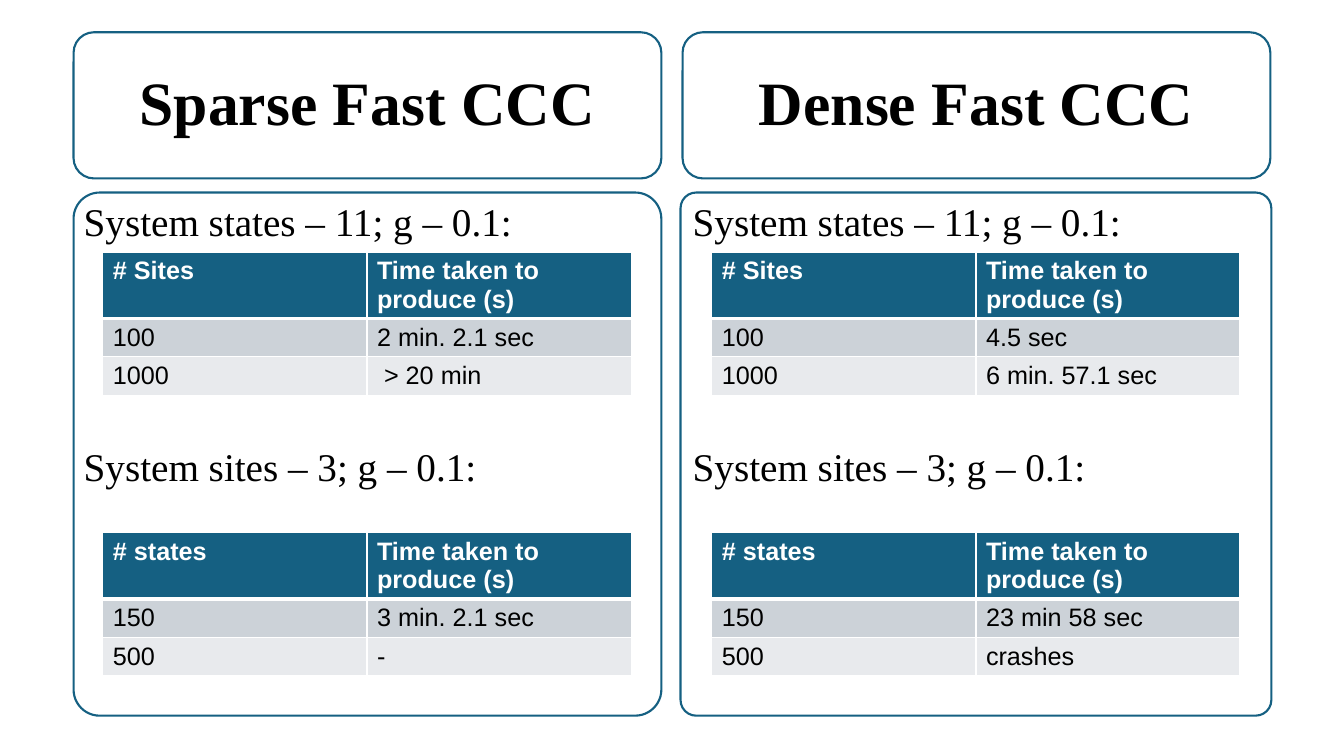
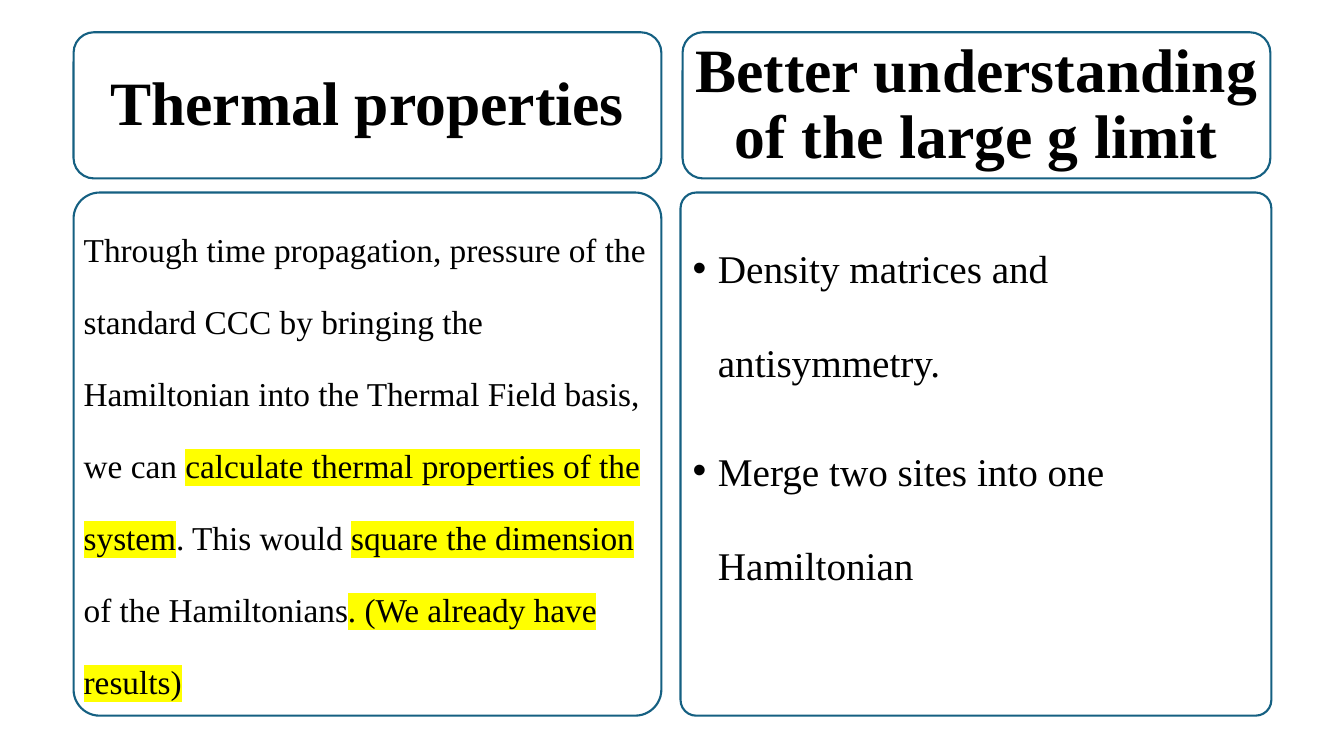
from dataclasses import dataclass

from lxml import etree
from pptx import Presentation
from pptx import util as u
from pptx.dml.color import RGBColor
from pptx.enum import shapes, text
from pptx.oxml.ns import qn

BLUE, BLACK, WHITE, YELLOW = "156082", "000000", "FFFFFF", "FFFF00"
BANDS = ("CCD2D8", "E8EAED")
SERIF, SANS = "Times New Roman", "Arial"
HEAD_TOP, HEAD_H = 0.32, 1.45
BODY_TOP, BODY_H = 1.91, 5.19
COLUMN_W = 5.83
COLUMN_LEFTS = (0.73, 6.77)
TABLE_LEFTS = (1.02, 7.06)
TABLE_TOPS = (2.5, 5.28)
TABLE_COL_W = 2.62
ROW_HEIGHTS = (0.66, 0.38, 0.38)


@dataclass
class Box:
    left: float
    top: float
    width: float
    height: float

    def lengths(self) -> list:
        return [u.Inches(v) for v in (self.left, self.top, self.width, self.height)]


@dataclass
class Run:
    text: str
    highlight: str = ""


@dataclass
class Para:
    runs: list[Run]
    size: float = 28
    line: float = 1.0
    before: float = 0
    bullet: bool = False


@dataclass
class Table:
    key: str
    rows: list[tuple[str, str]]


@dataclass
class Column:
    heading: str
    paras: list[Para]
    tables: list[Table]


@dataclass
class Frame:
    box: Box
    radius: float


FRAMES = [
    Frame(Box(0.73, HEAD_TOP, COLUMN_W, HEAD_H), 0.14),
    Frame(Box(0.73, BODY_TOP, COLUMN_W, BODY_H), 0.05),
    Frame(Box(6.75, BODY_TOP, 5.86, BODY_H), 0.03),
    Frame(Box(6.77, HEAD_TOP, COLUMN_W, HEAD_H), 0.14),
]


def rgb(color: str) -> RGBColor:
    return RGBColor.from_string(color)


def solid_fill(parent, tag: str, color: str):
    el = etree.SubElement(parent, qn(tag))
    etree.SubElement(el, qn("a:srgbClr"), val=color)
    return el


def add_run(p, words: str, *, size: float, font: str = SERIF, color: str = BLACK,
            bold: bool = False, highlight: str = "") -> None:
    r = p.add_run()
    r.text = words
    f = r.font
    f.size, f.name, f.bold = u.Pt(size), font, bold
    f.color.rgb = rgb(color)
    if highlight:
        rpr = r._r.get_or_add_rPr()
        mark = solid_fill(rpr, "a:highlight", highlight)
        rpr.find(qn("a:solidFill")).addnext(mark)


def place(sp, box: Box) -> None:
    sp.left, sp.top, sp.width, sp.height = box.lengths()


def prepare_frame(sp, anchor):
    tf = sp.text_frame
    tf.word_wrap = True
    tf.auto_size = text.MSO_AUTO_SIZE.NONE
    tf.vertical_anchor = anchor
    return tf


def write_heading(sp, words: str) -> None:
    p = prepare_frame(sp, text.MSO_ANCHOR.MIDDLE).paragraphs[0]
    p.alignment = text.PP_ALIGN.CENTER
    p.line_spacing = 0.9
    add_run(p, words, size=44, bold=True)


def set_bullet(p, shown: bool) -> None:
    ppr = p._p.get_or_add_pPr()
    indent = u.Inches(0.25) if shown else 0
    ppr.set("marL", str(indent))
    ppr.set("indent", str(-indent))
    if shown:
        etree.SubElement(ppr, qn("a:buFont"), typeface=SANS)
        etree.SubElement(ppr, qn("a:buChar"), char="•")
    else:
        etree.SubElement(ppr, qn("a:buNone"))


def write_body(sp, paras: list[Para]) -> None:
    tf = prepare_frame(sp, text.MSO_ANCHOR.TOP)
    for i, para in enumerate(paras):
        p = tf.add_paragraph() if i else tf.paragraphs[0]
        set_bullet(p, para.bullet)
        p.alignment = text.PP_ALIGN.LEFT
        p.line_spacing = para.line
        p.space_before, p.space_after = u.Pt(para.before), u.Pt(0)
        for run in para.runs:
            add_run(p, run.text, size=para.size, highlight=run.highlight)


def set_borders(cell, row: int) -> None:
    """White 1 pt rules, with a 3 pt rule under the header row."""
    widths = {"a:lnL": 1, "a:lnR": 1, "a:lnT": 3 if row == 1 else 1,
              "a:lnB": 3 if row == 0 else 1}
    tcpr = cell._tc.get_or_add_tcPr()
    for i, (tag, width) in enumerate(widths.items()):
        ln = etree.Element(qn(tag), w=str(u.Pt(width)))
        solid_fill(ln, "a:solidFill", WHITE)
        tcpr.insert(i, ln)


def add_timing_table(s, table: Table, left: float, top: float) -> None:
    rows = [(table.key, "Time taken to produce (s)"), *table.rows]
    box = Box(left, top, 2 * TABLE_COL_W, sum(ROW_HEIGHTS))
    tbl = s.shapes.add_table(len(rows), 2, *box.lengths()).table
    for col in tbl.columns:
        col.width = u.Inches(TABLE_COL_W)
    for i, values in enumerate(rows):
        tbl.rows[i].height = u.Inches(ROW_HEIGHTS[i])
        header = i == 0
        for j, value in enumerate(values):
            cell = tbl.cell(i, j)
            cell.fill.solid()
            cell.fill.fore_color.rgb = rgb(BLUE if header else BANDS[i - 1])
            set_borders(cell, i)
            add_run(cell.text_frame.paragraphs[0], value, size=18, font=SANS,
                    color=WHITE if header else BLACK, bold=header)


def add_frame(s, frame: Frame) -> None:
    sp = s.shapes.add_shape(shapes.MSO_SHAPE.ROUNDED_RECTANGLE, *frame.box.lengths())
    sp.adjustments[0] = frame.radius
    sp.shadow.inherit = False
    sp.fill.background()
    sp.line.color.rgb = rgb(BLUE)
    sp.line.width = u.Pt(1.5)


def add_comparison_slide(prs, columns: list[Column]) -> None:
    s = prs.slides.add_slide(prs.slide_layouts.get_by_name("Two Content"))
    for frame in FRAMES:
        add_frame(s, frame)
    for i, (column, left) in enumerate(zip(columns, COLUMN_LEFTS)):
        head_box = Box(left, HEAD_TOP, COLUMN_W, HEAD_H)
        if i == 0:
            heading = s.shapes.title
            place(heading, head_box)
        else:
            heading = s.shapes.add_textbox(*head_box.lengths())
        write_heading(heading, column.heading)
        body = s.placeholders[i + 1]
        place(body, Box(left, BODY_TOP, COLUMN_W, BODY_H))
        write_body(body, column.paras)
        for table, top in zip(column.tables, TABLE_TOPS):
            add_timing_table(s, table, TABLE_LEFTS[i], top)


def timing_column(heading: str, by_sites: tuple[str, str],
                  by_states: tuple[str, str]) -> Column:
    paras = [Para([Run("System states – 11; g – 0.1:")]),
             Para([Run("System sites – 3; g – 0.1:")], before=141)]
    tables = [Table("# Sites", list(zip(("100", "1000"), by_sites))),
              Table("# states", list(zip(("150", "500"), by_states)))]
    return Column(heading, paras, tables)


SLIDES = [
    [
        timing_column("Sparse Fast CCC", ("2 min. 2.1 sec", " > 20 min"),
                      ("3 min. 2.1 sec", "-")),
        timing_column("Dense Fast CCC", ("4.5 sec", "6 min. 57.1 sec"),
                      ("23 min 58 sec", "crashes")),
    ],
    [
        Column("Thermal properties", [Para([
            Run("Through time propagation, pressure of the standard CCC by bringing "
                "the Hamiltonian into the Thermal Field basis, we can "),
            Run("calculate thermal properties of the system", YELLOW),
            Run(". This would "),
            Run("square the dimension ", YELLOW),
            Run("of the Hamiltonians"),
            Run(". (We already have results)", YELLOW),
        ], size=23.8, line=1.8)], []),
        Column("Better understanding of the large g limit", [
            Para([Run("Density matrices and antisymmetry.")], line=2.0, bullet=True),
            Para([Run("Merge two sites into one Hamiltonian")], line=2.0, before=10,
                 bullet=True),
        ], []),
    ],
]


def main() -> None:
    prs = Presentation()
    prs.slide_width, prs.slide_height = u.Inches(13.33), u.Inches(7.5)
    for columns in SLIDES:
        add_comparison_slide(prs, columns)
    prs.save("out.pptx")


if __name__ == "__main__":
    main()
